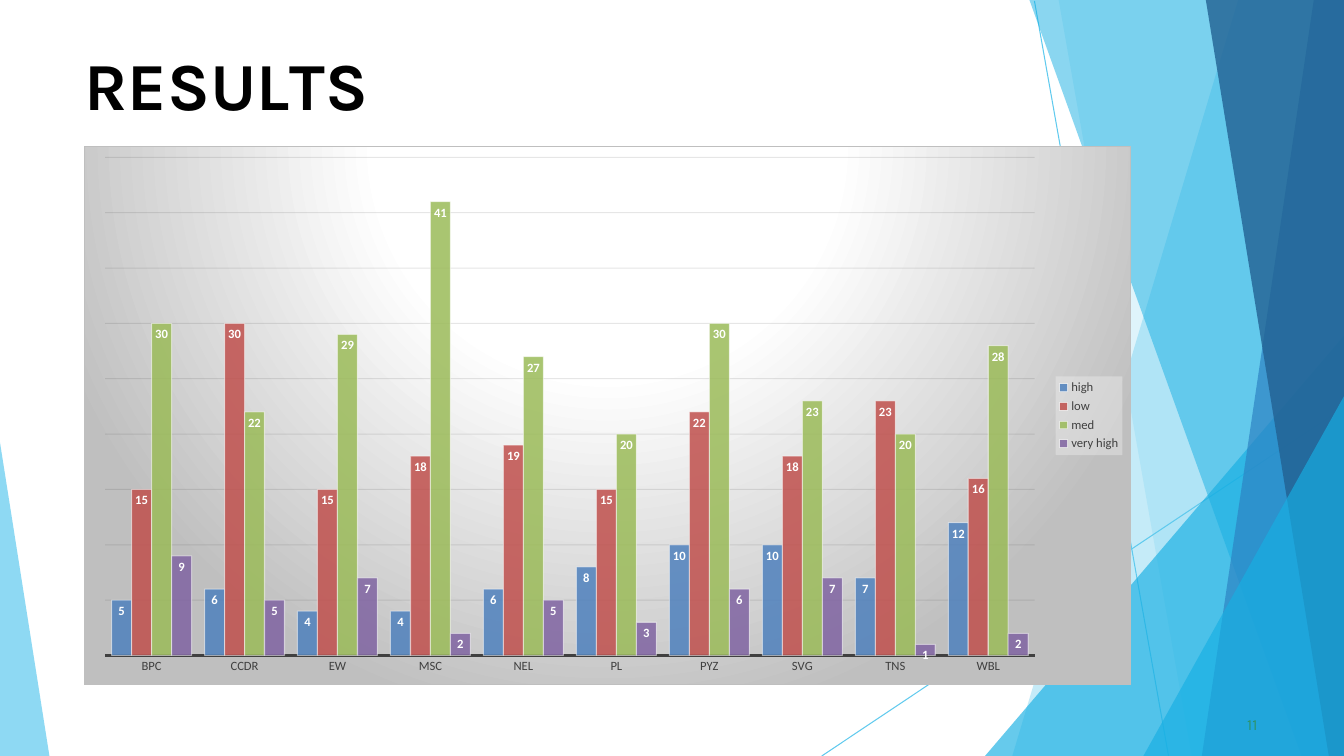
from dataclasses import dataclass

from lxml import etree
from pptx import Presentation
from pptx import util as u
from pptx.chart.data import CategoryChartData
from pptx.dml.color import RGBColor
from pptx.enum import chart as ch
from pptx.enum import shapes, text
from pptx.oxml import ns, parse_xml

PX = 9144  # EMU in one px, 100 px to the inch
WIDTH, HEIGHT = 1333, 750


@dataclass(frozen=True)
class Theme:
    heading_font: str = "Karla"
    chart_font: str = "Calibri"
    title_size: int = 48
    number_size: int = 11
    chart_size: int = 10
    label_size: int = 9
    black: str = "000000"
    white: str = "FFFFFF"
    green: str = "2D936B"
    sky: str = "5FCAEE"
    cyan: str = "17AFE3"
    blue: str = "2D83C3"
    navy: str = "226192"
    grey_text: str = "404040"
    grid: str = "0D0D0D"
    backdrop: str = "BFBFBF"
    legend_back: str = "F2F2F2"
    series: tuple = ("4F81BD", "C0504D", "9BBB59", "8064A2")


def format_font(font, name, size, color, bold=False):
    font.name, font.size, font.bold = name, u.Pt(size), bold
    font.color.rgb = RGBColor.from_string(color)


def add_text(para, wording, spacing=0, **style):
    """Add one run; spacing is the letter spacing in points."""
    span = para.add_run()
    span.text = wording
    format_font(span.font, **style)
    span.font._element.set("spc", str(round(spacing * 100)))


def set_opacity(element, *percents):
    """Give the colours inside element, in order, these opacities."""
    for color, percent in zip(element.iter(ns.qn("a:srgbClr")), percents):
        etree.SubElement(color, ns.qn("a:alpha")).set("val", str(percent * 1000))


def set_line(line, color, points):
    line.color.rgb = RGBColor.from_string(color)
    line.width = u.Pt(points)


def add_chart_format(parent, content):
    """Put fill and line XML just before the text format of a chart part."""
    properties = parse_xml(f'<c:spPr {ns.nsdecls("c", "a")}>{content}</c:spPr>')
    parent.find(ns.qn("c:txPr")).addprevious(properties)
    return properties


class SlideBuilder:
    def __init__(self, page, theme):
        self.page, self.theme = page, theme

    def ray(self, x1, y1, x2, y2):
        """Thin straight line of the background."""
        line = self.page.shapes.add_connector(
            shapes.MSO_CONNECTOR.STRAIGHT, *(v * PX for v in (x1, y1, x2, y2)))
        set_line(line.line, self.theme.sky, 0.75)
        etree.SubElement(line._element.spPr, ns.qn("a:effectLst"))

    def panel(self, edge, top_x, top_y, bottom_x, color, opacity):
        """Translucent panel between a slide edge and a slanted side."""
        corners = dict.fromkeys([(edge, top_y), (top_x, top_y),
                                 (bottom_x, HEIGHT), (edge, HEIGHT)])
        start, *others = corners
        outline = self.page.shapes.build_freeform(*start, scale=PX)
        outline.add_line_segments(others, close=True)
        panel = outline.convert_to_shape()
        panel.shadow.inherit = False
        panel.fill.solid()
        panel.fill.fore_color.rgb = RGBColor.from_string(color)
        panel.line.fill.background()
        set_opacity(panel._element.spPr, opacity)

    def prepare_frame(self, box, indent, before):
        frame = box.text_frame
        frame.word_wrap = True
        frame.auto_size = text.MSO_AUTO_SIZE.SHAPE_TO_FIT_TEXT
        frame.vertical_anchor = text.MSO_ANCHOR.TOP
        frame.margin_left, frame.margin_top = indent * PX, PX
        frame.margin_right = frame.margin_bottom = 0
        para = frame.paragraphs[0]
        para.alignment = text.PP_ALIGN.LEFT
        para.space_before = u.Pt(before)
        return para

    def title(self, left, top, width, height, pieces):
        """Fill the title with (letters, letter spacing) pieces."""
        box = self.page.shapes.title
        box.left, box.top, box.width, box.height = (
            v * PX for v in (left, top, width, height))
        self.page.shapes._spTree.append(box._element)
        para = self.prepare_frame(box, indent=1, before=1.1)
        for letters, spacing in pieces:
            add_text(para, letters, spacing, name=self.theme.heading_font,
                     size=self.theme.title_size, color=self.theme.black, bold=True)

    def page_number(self, left, top, width, height, number):
        box = self.page.shapes.add_textbox(*(v * PX for v in (left, top, width, height)))
        para = self.prepare_frame(box, indent=4, before=0.6)
        add_text(para, number, 0.1, name=self.theme.heading_font,
                 size=self.theme.number_size, color=self.theme.green)

    def column_chart(self, left, top, width, height, categories, results):
        theme = self.theme
        data = CategoryChartData()
        data.categories = categories
        for name, values in results.items():
            data.add_series(name, values)
        chart = self.page.shapes.add_chart(
            ch.XL_CHART_TYPE.COLUMN_CLUSTERED,
            *(v * PX for v in (left, top, width, height)), data).chart
        chart.has_title = False
        format_font(chart.font, theme.chart_font, theme.chart_size, theme.black)
        add_chart_format(chart._chartSpace, f'''
            <a:gradFill><a:gsLst>
              <a:gs pos="0"><a:srgbClr val="{theme.white}"/></a:gs>
              <a:gs pos="39000"><a:srgbClr val="{theme.white}"/></a:gs>
              <a:gs pos="100000"><a:srgbClr val="{theme.backdrop}"/></a:gs>
            </a:gsLst><a:path path="circle">
              <a:fillToRect l="50000" t="-80000" r="50000" b="180000"/>
            </a:path></a:gradFill>
            <a:ln w="9525"><a:solidFill><a:srgbClr val="{theme.backdrop}"/>
            </a:solidFill></a:ln>''')
        self.format_axes(chart)
        self.format_legend(chart)
        self.format_columns(chart.plots[0])

    def format_axes(self, chart):
        theme = self.theme
        names = chart.category_axis
        names.major_tick_mark = ch.XL_TICK_MARK.NONE
        set_line(names.format.line, theme.grey_text, 1.5)
        format_font(names.tick_labels.font, theme.chart_font,
                    theme.label_size, theme.grey_text)
        scale = chart.value_axis
        scale.visible = False
        scale.minimum_scale, scale.maximum_scale, scale.major_unit = 0, 45, 5
        scale.has_major_gridlines = True
        set_line(scale.major_gridlines.format.line, theme.grid, 0.75)
        set_opacity(scale._element.find(ns.qn("c:majorGridlines")), 10)

    def format_legend(self, chart):
        theme = self.theme
        chart.has_legend = True
        legend = chart.legend
        legend.position = ch.XL_LEGEND_POSITION.RIGHT
        legend.include_in_layout = False
        format_font(legend.font, theme.chart_font, theme.label_size, theme.grey_text)
        back = add_chart_format(legend._element, f'''<a:solidFill>
            <a:srgbClr val="{theme.legend_back}"/></a:solidFill>''')
        set_opacity(back, 39)

    def format_columns(self, plot):
        theme = self.theme
        plot.gap_width, plot.overlap, plot.vary_by_categories = 65, 0, False
        for series, color in zip(plot.series, theme.series):
            series.invert_if_negative = False
            series.format.fill.solid()
            series.format.fill.fore_color.rgb = RGBColor.from_string(color)
            set_line(series.format.line, theme.white, 0.75)
            set_opacity(series._element.find(ns.qn("c:spPr")), 85, 50)
            labels = series.data_labels
            labels.show_value = True
            labels.position = ch.XL_LABEL_POSITION.INSIDE_END
            format_font(labels.font, theme.chart_font, theme.label_size,
                        theme.white, bold=True)


def main():
    deck = Presentation()
    deck.slide_width, deck.slide_height = WIDTH * PX, HEIGHT * PX
    theme = Theme()
    slide = SlideBuilder(deck.slides.add_slide(deck.slide_layouts[5]), theme)

    slide.ray(1026, 1, 1159, 750)
    slide.ray(1333, 404, 815, 750)
    for panel in [
        (WIDTH, 1228, 0, 1004, theme.sky, 36),
        (WIDTH, 1050, 0, 1182, theme.sky, 20),
        (WIDTH, WIDTH, 333, 977, theme.cyan, 66),
        (WIDTH, 1021, 0, 1291, theme.cyan, 50),
        (WIDTH, 1303, 0, 1192, theme.blue, 70),
        (WIDTH, 1196, 0, 1318, theme.navy, 80),
        (WIDTH, WIDTH, 393, 1134, theme.cyan, 66),
        (0, 0, 439, 49, theme.sky, 70),
    ]:
        slide.panel(*panel)

    slide.title(83, 42, 1168, 83, [("R", 0), ("E", -0.4), ("S", 0.1),
                                   ("U", -0.3), ("L", -4), ("TS", 0)])
    slide.page_number(1233, 708, 25, 21, "11")
    slide.column_chart(
        83, 145, 1039, 535,
        ["BPC", "CCDR", "EW", "MSC", "NEL", "PL", "PYZ", "SVG", "TNS", "WBL"],
        {"high": [5, 6, 4, 4, 6, 8, 10, 10, 7, 12],
         "low": [15, 30, 15, 18, 19, 15, 22, 18, 23, 16],
         "med": [30, 22, 29, 41, 27, 20, 30, 23, 20, 28],
         "very high": [9, 5, 7, 2, 5, 3, 6, 7, 1, 2]})
    deck.save("out.pptx")


if __name__ == "__main__":
    main()
